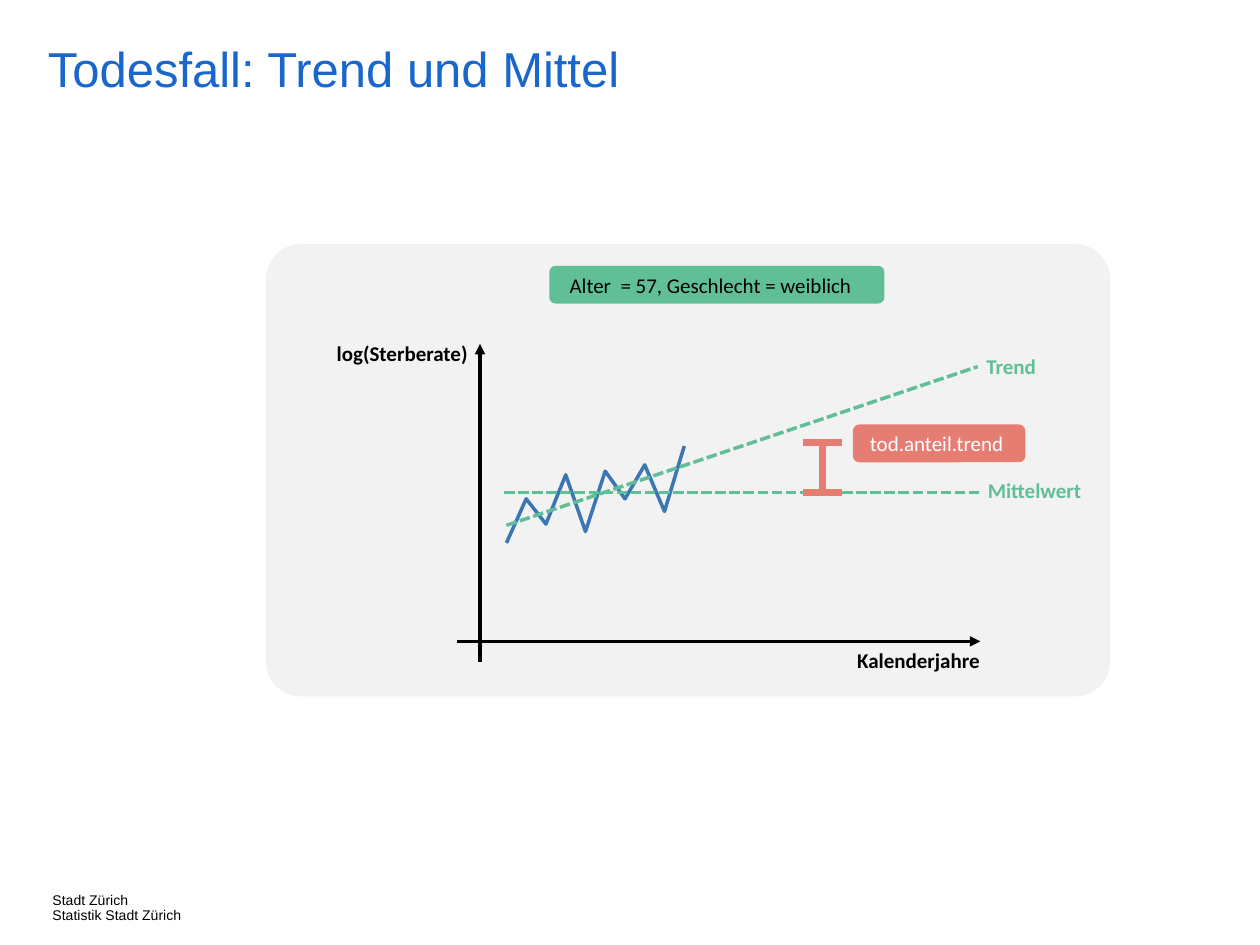
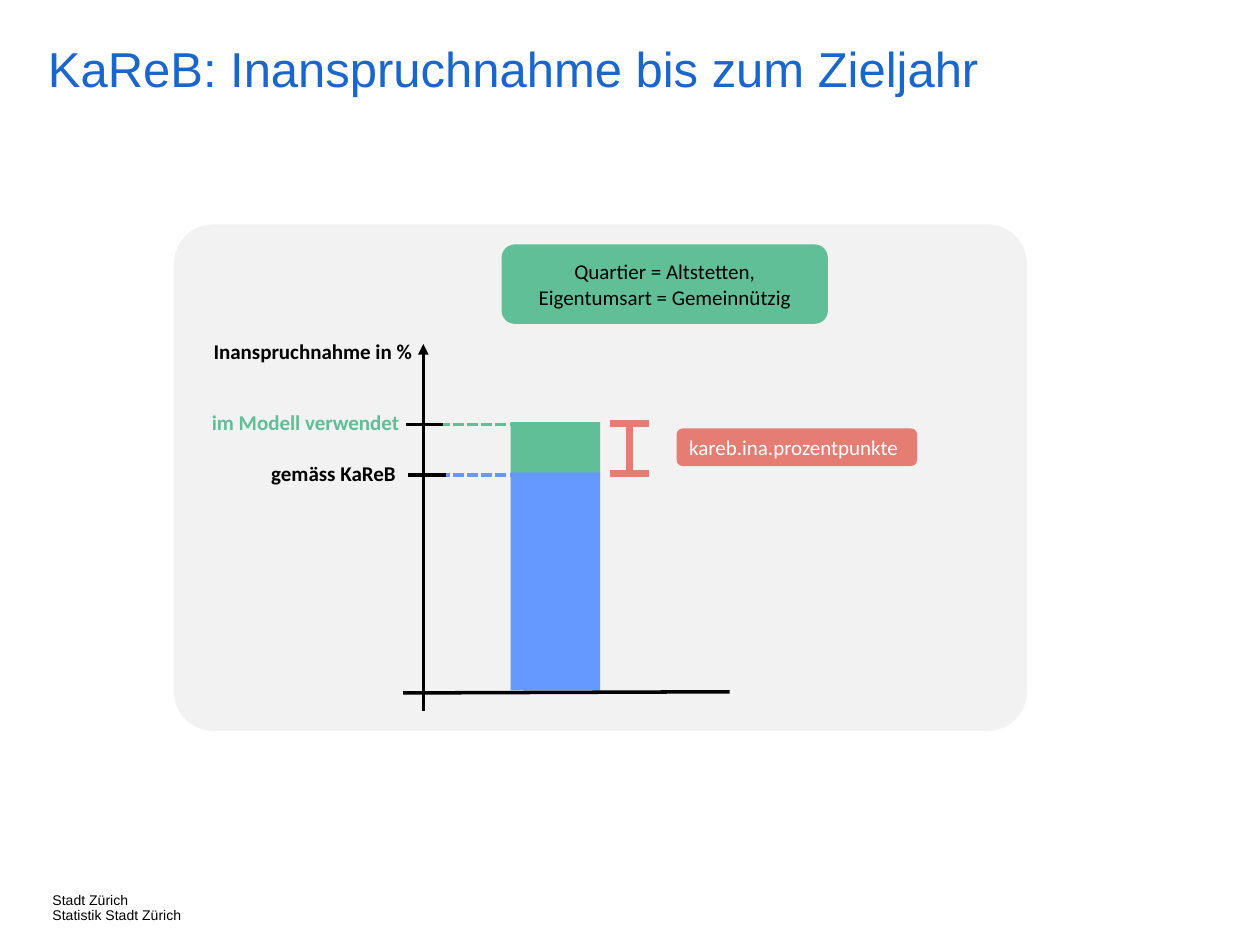
from pptx import Presentation
from pptx.dml.color import RGBColor
from pptx.enum.dml import MSO_LINE_DASH_STYLE as Dash
from pptx.enum.shapes import MSO_CONNECTOR_TYPE as Connector, MSO_SHAPE as Shape
from pptx.enum.text import MSO_ANCHOR as Anchor, PP_ALIGN as Align
from pptx.oxml.ns import qn
from pptx.util import Pt
from lxml.etree import SubElement

# Shared colours and text formats
BLACK = RGBColor(0x00, 0x00, 0x00)
WHITE = RGBColor(0xFF, 0xFF, 0xFF)
TITLE_BLUE = RGBColor(0x19, 0x66, 0xCC)
SERIES_BLUE = RGBColor(0x3B, 0x76, 0xB3)
BAR_BLUE = RGBColor(0x66, 0x99, 0xFF)
GREEN = RGBColor(0x60, 0xBF, 0x97)
RED = RGBColor(0xE6, 0x7D, 0x73)
PANEL_GREY = RGBColor(0xF2, 0xF2, 0xF2)

TITLE_FONT = {"name": "Arial", "size": Pt(28), "bold": False}
FOOTER_FONT = {"name": "Arial", "size": Pt(8)}
TAG_FONT = {"name": "Calibri", "size": Pt(12)}
LABEL_FONT = {**TAG_FONT, "bold": True}
NO_MARGINS = {f"margin_{side}": 0 for side in ("left", "top", "right", "bottom")}
ROW_HEIGHT = 21.6


def set_all(target, values):
    for name, value in values.items():
        setattr(target, name, value)


def write(shape, text, font, color, frame, paragraph_format):
    """Fill a shape with text and format its frame, paragraphs and runs."""
    text_frame = shape.text_frame
    set_all(text_frame, frame)
    text_frame.text = text
    for paragraph in text_frame.paragraphs:
        set_all(paragraph, paragraph_format)
        for run in paragraph.runs:
            set_all(run.font, font)
            run.font.color.rgb = color


class Panel:
    """A rounded grey panel; all parts are placed from its top left corner."""

    def __init__(self, slide, left, top, width, height):
        self.shapes, self.left, self.top = slide.shapes, left, top
        panel = self.box(Shape.ROUNDED_RECTANGLE, 0, 0, width, height, PANEL_GREY)
        panel.adjustments[0] = 0.077

    def at(self, x, y):
        return Pt(self.left + x), Pt(self.top + y)

    def box(self, kind, x, y, width, height, color):
        shape = self.shapes.add_shape(kind, *self.at(x, y), Pt(width), Pt(height))
        shape.shadow.inherit = False
        shape.fill.solid()
        shape.fill.fore_color.rgb = color
        shape.line.fill.background()
        return shape

    def tag(self, text, x, y, width, height, fill, color, shift=0):
        """Coloured tag; shift moves its centred text to the left."""
        shape = self.box(Shape.ROUNDED_RECTANGLE, x, y, width, height, fill)
        frame = {**NO_MARGINS, "margin_right": Pt(2 * shift),
                 "word_wrap": True, "vertical_anchor": Anchor.MIDDLE}
        write(shape, text, TAG_FONT, color, frame, {"alignment": Align.CENTER})

    def label(self, text, x, y, width, color=BLACK, align=Align.RIGHT):
        shape = self.shapes.add_textbox(*self.at(x, y), Pt(width), Pt(ROW_HEIGHT))
        write(shape, text, LABEL_FONT, color, {"word_wrap": True}, {"alignment": align})

    def line(self, start, end, color=BLACK, width=2, dash=None, arrow=False):
        connector = self.shapes.add_connector(
            Connector.STRAIGHT, *self.at(*start), *self.at(*end))
        connector.line.color.rgb = color
        connector.line.width = Pt(width)
        if dash:
            connector.line.dash_style = dash
        properties = connector._element.spPr
        if arrow:
            SubElement(properties.find(qn("a:ln")), qn("a:tailEnd"), type="triangle")
        SubElement(properties, qn("a:effectLst"))

    def dashed(self, start, end, color):
        self.line(start, end, color, dash=Dash.SQUARE_DOT)

    def bracket(self, x, top, bottom, half_width=11.2):
        """Red range marker with a cap at each end."""
        self.line((x, top), (x, bottom), RED, 4)
        for y in (top, bottom):
            self.line((x - half_width, y), (x + half_width, y), RED, 4)

    def curve(self, points, color):
        corners = [self.at(*point) for point in points]
        builder = self.shapes.build_freeform(*corners[0])
        builder.add_line_segments(corners[1:], close=False)
        shape = builder.convert_to_shape()
        shape.shadow.inherit = False
        shape.fill.background()
        shape.line.color.rgb = color
        shape.line.width = Pt(2)


def add_titled_slide(presentation, title_text):
    """Slide with the shared title and footer."""
    slide = presentation.slides.add_slide(presentation.slide_layouts[5])
    title = slide.shapes.title
    set_all(title, {"left": Pt(27.4), "top": Pt(26), "width": Pt(605), "height": Pt(46)})
    write(title, title_text, TITLE_FONT, TITLE_BLUE,
          {**NO_MARGINS, "word_wrap": True, "vertical_anchor": Anchor.TOP},
          {"alignment": Align.LEFT, "line_spacing": 0.9})
    footer = slide.shapes.add_textbox(Pt(30), Pt(510.5), Pt(94.3), Pt(14.4))
    write(footer, "Stadt Zürich\nStatistik Stadt Zürich", FOOTER_FONT, BLACK,
          {**NO_MARGINS, "word_wrap": False}, {"line_spacing": 0.9})
    return slide


def draw_trend_panel(slide, left, top, width, height):
    panel = Panel(slide, left, top, width, height)
    mean_y, plot_left, plot_right = 142, 137.4, 408.2

    # Axes
    panel.line((109.4, 227), (plot_right, 227), arrow=True)
    panel.line((122.3, 238.5), (122.3, 57), arrow=True)
    panel.label("Kalenderjahre", 328.2, 227, 89.3, align=Align.CENTER)
    panel.label("log(Sterberate)", 26.6, 51.3, 95.8)

    # Observed rates at equal yearly steps, with mean and trend
    rates = (170.8, 145.6, 160, 131.9, 164.3, 129.8, 145.6, 126.2, 152.8, 115.4)
    panel.curve([(plot_left + 11.29 * year, y) for year, y in enumerate(rates)],
                SERIES_BLUE)
    panel.dashed((136, mean_y), (plot_right, mean_y), GREEN)
    panel.label("Mittelwert", 383.7, 129.8, 89.3, GREEN)
    panel.dashed((plot_left, 160.7), (406.7, 70), GREEN)
    panel.label("Trend", 401, 59.2, 46, GREEN)

    # Parameter and selection
    panel.bracket(318.2, 113.2, mean_y)
    panel.tag("tod.anteil.trend", 335.4, 103.1, 98.6, ROW_HEIGHT, RED, WHITE, 1.4)
    panel.tag("Alter  = 57, Geschlecht = weiblich", 161.9, 12.4, 191.5, ROW_HEIGHT,
              GREEN, BLACK, 3.6)


def draw_usage_panel(slide, left, top, width, height):
    panel = Panel(slide, left, top, width, height)
    axis_x, bar_left, bar_width = 142.5, 192.4, 51.1
    model_y, source_y, base_y = 113.7, 142.3, 267.4

    # Vertical axis and selection
    panel.line((axis_x, 278), (axis_x, 68.4), arrow=True)
    panel.label("Inanspruchnahme in %", -1.5, 61.9, 144.7)
    panel.tag("Quartier = Altstetten,\vEigentumsart = Gemeinnützig",
              187.2, 11.5, 186.5, 45.4, GREEN, BLACK)

    # Levels: dashed guide, tick and label
    levels = (("gemäss KaReB", source_y + 0.9, BAR_BLUE, BLACK, 45.3, 88.6, 133.9),
              ("im Modell verwendet", model_y + 0.7, GREEN, GREEN, 8.6, 127.4, 132.4))
    for text, y, guide_color, text_color, x, label_width, tick_left in levels:
        panel.dashed((axis_x + 1, y), (bar_left - 0.5, y), guide_color)
        panel.line((tick_left, y), (tick_left + 21.3, y))
        panel.label(text, x, y - 11.9, label_width, text_color)

    # Stacked bar on the base line
    for bar_top, bar_bottom, color in ((model_y - 0.7, source_y, GREEN),
                                       (source_y - 0.5, base_y - 1, BAR_BLUE)):
        panel.box(Shape.RECTANGLE, bar_left, bar_top, bar_width,
                  bar_bottom - bar_top, color)
    panel.line((131, base_y + 0.4), (317.5, base_y - 0.3))

    # Parameter
    panel.bracket(260.4, model_y, source_y)
    panel.tag("kareb.ina.prozentpunkte", 287.2, 116.6, 137.5, ROW_HEIGHT, RED, WHITE, 1.8)


presentation = Presentation()
presentation.slide_width, presentation.slide_height = Pt(720), Pt(540)

draw_trend_panel(add_titled_slide(presentation, "Todesfall: Trend und Mittel"),
                 152, 139.5, 482.4, 258.5)
draw_usage_panel(add_titled_slide(presentation, "KaReB: Inanspruchnahme bis zum Zieljahr"),
                 99.4, 128.2, 487.4, 289.4)

presentation.save("out.pptx")
